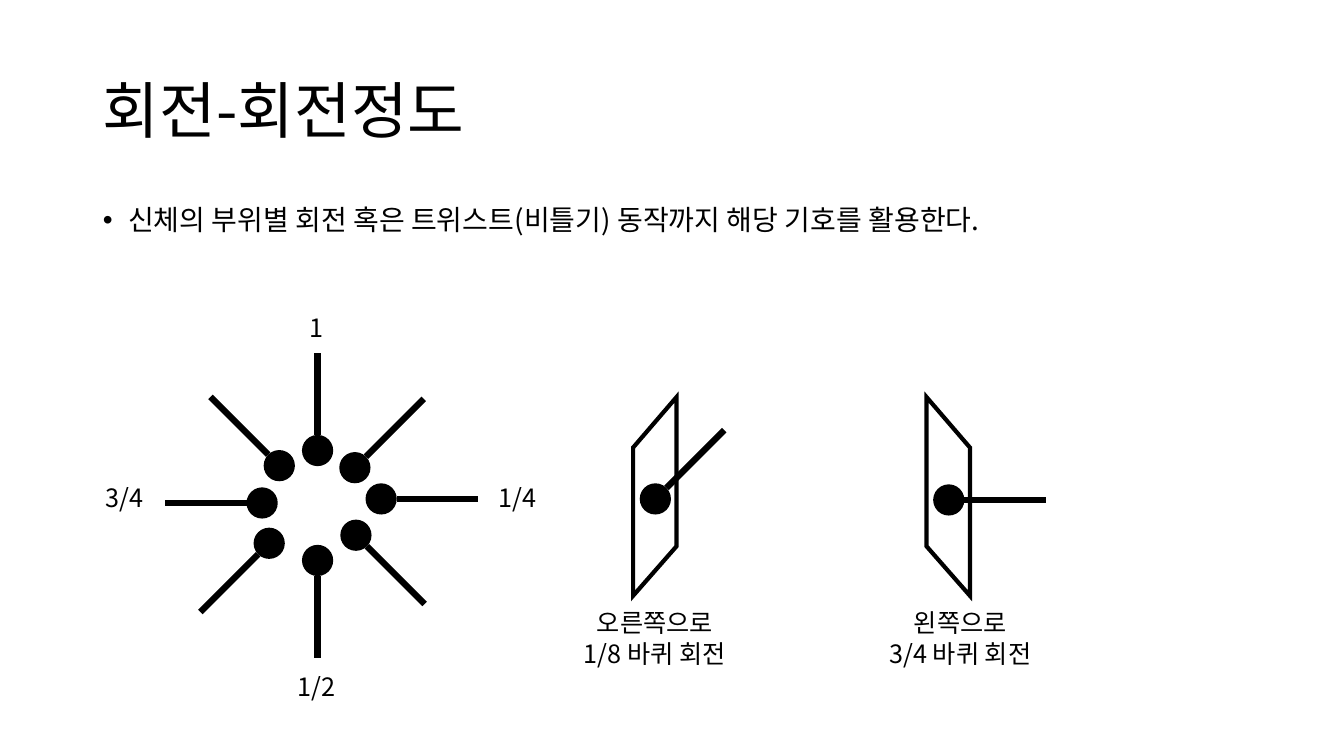
import math

from pptx import Presentation
from pptx.dml.color import RGBColor
from pptx.enum.shapes import MSO_CONNECTOR, MSO_SHAPE
from pptx.enum.text import MSO_ANCHOR, MSO_AUTO_SIZE, PP_ALIGN
from pptx.oxml.ns import qn
from pptx.util import Inches, Pt
from lxml import etree

STRAIGHT = MSO_CONNECTOR.STRAIGHT
OVAL = MSO_SHAPE.OVAL
TOP, MIDDLE = MSO_ANCHOR.TOP, MSO_ANCHOR.MIDDLE
LEFT, CENTER = PP_ALIGN.LEFT, PP_ALIGN.CENTER
NO_AUTOFIT = MSO_AUTO_SIZE.NONE

FONT = "Noto Sans CJK KR"
COLORS = {"ink": "000000", "paper": "FFFFFF"}
HEAD = 0.31   # diameter of a pin head
STEM = 0.81   # length of a pin stem

# Pin head centres and directions, in degrees clockwise from the top
DIAL_PINS = [
    (3.15, 4.47, 0), (3.52, 4.64, 45), (3.78, 4.95, 90), (3.53, 5.31, 135),
    (3.15, 5.56, 180), (2.67, 5.39, 225), (2.6, 4.99, 270), (2.77, 4.62, 315),
]
DIAL_LABELS = [
    ("1", 2.97, 3.05, 0.34), ("1/2", 2.85, 6.61, 0.58),
    ("1/4", 4.85, 4.74, 0.58), ("3/4", 0.95, 4.74, 0.58),
]


def color(name):
    return RGBColor.from_string(COLORS[name])


def format_text(frame, size, align=LEFT, spacing=None):
    for paragraph in frame.paragraphs:
        paragraph.alignment = align
        if spacing:
            paragraph.line_spacing = spacing
            paragraph.space_before = Pt(0)
        for run in paragraph.runs:
            run.font.size = Pt(size)
            run.font.name = FONT
            run.font.color.rgb = color("ink")
            east_asian = etree.SubElement(run.font._element, qn("a:ea"))
            east_asian.set("typeface", FONT)


def fill_placeholder(holder, text, top, height, size, anchor):
    holder.left, holder.top = Inches(0.92), Inches(top)
    holder.width, holder.height = Inches(11.5), Inches(height)
    frame = holder.text_frame
    frame.text = text
    frame.auto_size = NO_AUTOFIT
    frame.vertical_anchor = anchor
    format_text(frame, size, spacing=0.9)


def add_bullet(paragraph):
    properties = paragraph._p.get_or_add_pPr()
    properties.set("marL", str(Inches(0.25)))
    properties.set("indent", str(Inches(-0.25)))
    etree.SubElement(properties, qn("a:buFont")).set("typeface", "Arial")
    etree.SubElement(properties, qn("a:buChar")).set("char", "•")


def add_label(slide, text, left, top, width, height=0.4, align=LEFT):
    label = slide.shapes.add_textbox(
        Inches(left), Inches(top), Inches(width), Inches(height))
    label.text_frame.word_wrap = False
    label.text_frame.text = text
    format_text(label.text_frame, 18, align)


def add_pin(slide, x, y, degrees):
    radius = HEAD / 2
    head = slide.shapes.add_shape(
        OVAL, Inches(x - radius), Inches(y - radius), Inches(HEAD), Inches(HEAD))
    head.shadow.inherit = False
    head.fill.solid()
    head.fill.fore_color.rgb = color("ink")
    head.line.fill.background()

    dx, dy = math.sin(math.radians(degrees)), -math.cos(math.radians(degrees))
    reach = radius + STEM
    stem = slide.shapes.add_connector(
        STRAIGHT, Inches(x + radius * dx), Inches(y + radius * dy),
        Inches(x + reach * dx), Inches(y + reach * dy))
    stem.line.color.rgb = color("ink")
    stem.line.width = Pt(4.5)
    etree.SubElement(stem._element.spPr, qn("a:effectLst"))


def add_turn_sign(slide, short_x, long_x):
    """Slanted panel whose edge at short_x lies half a step off the other."""
    corners = [(long_x, 3.94), (short_x, 4.44), (short_x, 5.91), (long_x, 5.42)]
    if long_x < short_x:
        corners = [(long_x, 3.94), (short_x, 4.44), (short_x, 5.91), (long_x, 5.42)]
    points = [(Inches(x), Inches(y)) for x, y in corners]
    builder = slide.shapes.build_freeform(*points[0], scale=1.0)
    builder.add_line_segments(points[1:], close=True)
    panel = builder.convert_to_shape()
    panel.shadow.inherit = False
    panel.fill.solid()
    panel.fill.fore_color.rgb = color("paper")
    panel.line.color.rgb = color("ink")
    panel.line.width = Pt(3)
    outline = panel._element.spPr.find(qn("a:ln"))
    etree.SubElement(outline, qn("a:miter")).set("lim", "800000")


def main():
    deck = Presentation()
    deck.slide_width, deck.slide_height = Inches(13.33), Inches(7.5)
    slide = deck.slides.add_slide(deck.slide_layouts[1])

    # Title and statement
    fill_placeholder(slide.shapes.title, "회전-회전정도", 0.4, 1.45, 44, MIDDLE)
    statement = slide.placeholders[1]
    fill_placeholder(
        statement, "신체의 부위별 회전 혹은 트위스트(비틀기) 동작까지 해당 기호를 활용한다.",
        2, 4.76, 20, TOP)
    add_bullet(statement.text_frame.paragraphs[0])

    # Dial of turn amounts
    for x, y, degrees in DIAL_PINS:
        add_pin(slide, x, y, degrees)
    for text, left, top, width in DIAL_LABELS:
        add_label(slide, text, left, top, width)

    # Example: an eighth turn to the right
    add_turn_sign(slide, short_x=6.28, long_x=6.71)
    add_pin(slide, 6.5, 4.95, 45)
    add_label(slide, "오른쪽으로\n1/8 바퀴 회전", 5.61, 5.98, 1.77, 0.71, CENTER)

    # Example: three quarters of a turn to the left
    add_turn_sign(slide, short_x=9.62, long_x=9.19)
    add_pin(slide, 9.41, 4.96, 90)
    add_label(slide, "왼쪽으로\n3/4 바퀴 회전", 8.64, 5.98, 1.77, 0.71, CENTER)

    deck.save("out.pptx")


if __name__ == "__main__":
    main()
